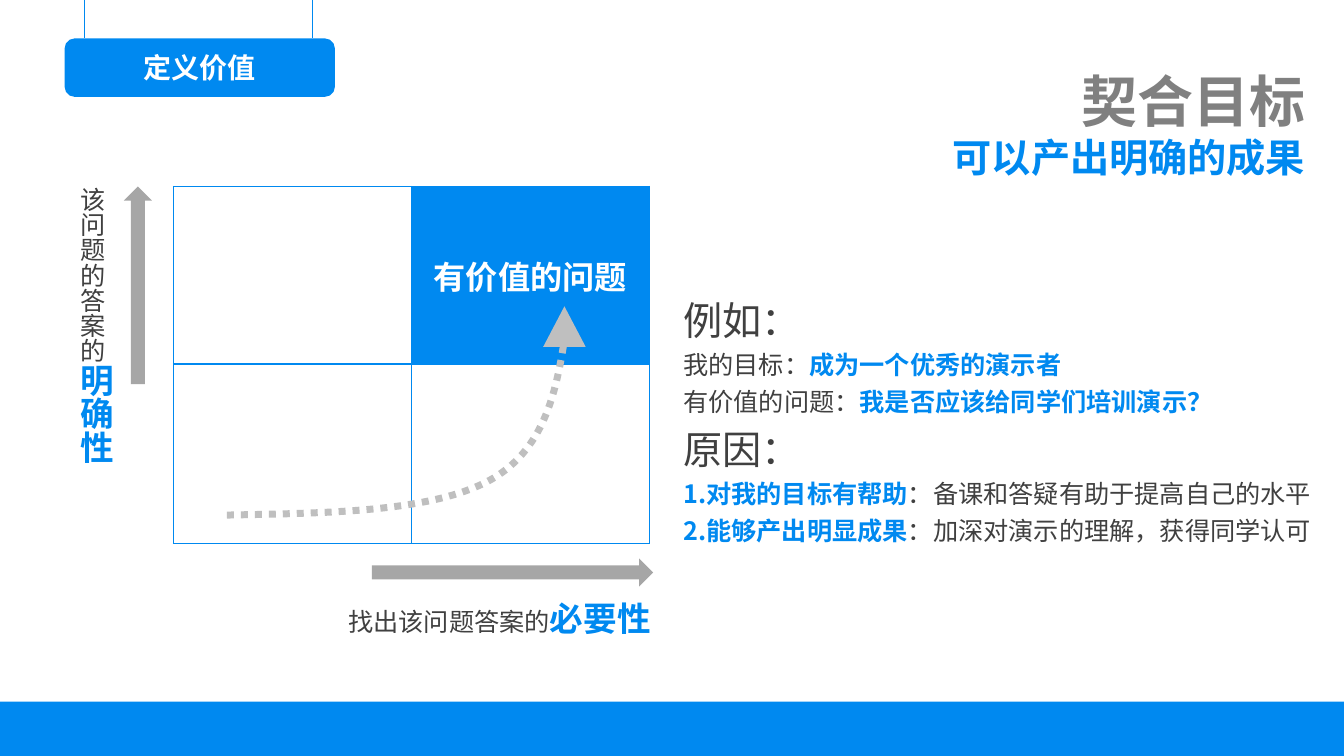
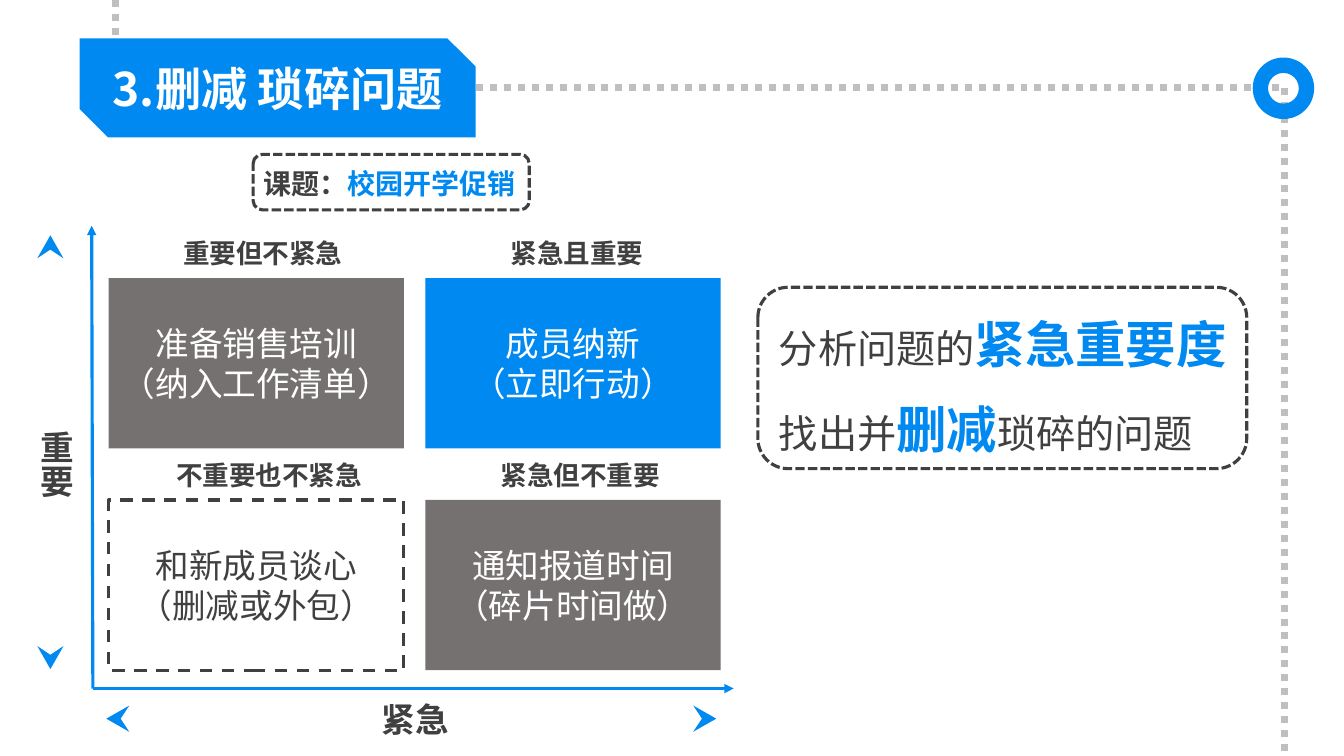
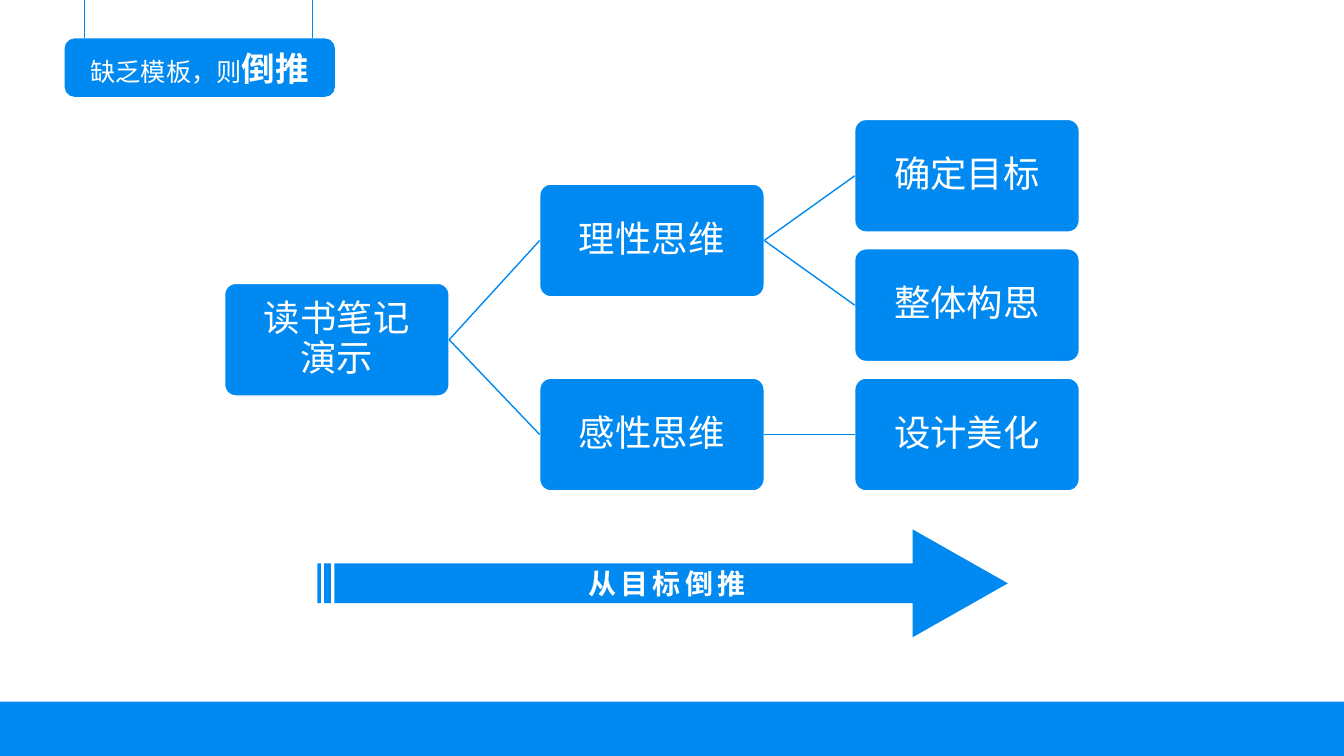
from lxml import etree
from pptx import Presentation
from pptx.dml.color import RGBColor
from pptx.enum.dml import MSO_LINE as Dash
from pptx.enum.shapes import MSO_CONNECTOR as Link, MSO_SHAPE as Shape
from pptx.enum.text import MSO_ANCHOR as Anchor, MSO_AUTO_SIZE as AutoSize, PP_ALIGN as Align
from pptx.oxml.ns import qn
from pptx.util import Cm, Pt

COLORS = {
    "blue": "0089F0",
    "white": "FFFFFF",
    "ink": "404040",
    "title": "808080",
    "card": "767171",
    "arrow": "A6A6A6",
    "dots": "BFBFBF",
}
FONT = "Noto Sans CJK SC"
WIDTH, HEIGHT = 33.87, 19.05


def rgb(color):
    return RGBColor.from_string(COLORS[color])


def run(text, size, color="ink", bold=False, spacing=None):
    return text, size, color, bold, spacing


def write(frame, paragraphs, align=Align.LEFT, line_spacing=None):
    frame.word_wrap = True
    for index, runs in enumerate(paragraphs):
        paragraph = frame.add_paragraph() if index else frame.paragraphs[0]
        paragraph.alignment = align
        if line_spacing:
            paragraph.line_spacing = line_spacing
        for text, size, color, bold, spacing in runs:
            piece = paragraph.add_run()
            piece.text = text
            piece.font.size = Pt(size)
            piece.font.bold = bold
            piece.font.color.rgb = rgb(color)
            piece.font.name = FONT
            properties = piece.font._element
            etree.SubElement(properties, qn("a:ea")).set("typeface", FONT)
            if spacing:
                properties.set("spc", str(spacing * 100))


def add_text(slide, box, paragraphs, align=Align.LEFT, line_spacing=None, vertical=False):
    frame = slide.shapes.add_textbox(*map(Cm, box)).text_frame
    write(frame, paragraphs, align, line_spacing)
    frame.auto_size = AutoSize.SHAPE_TO_FIT_TEXT
    if vertical:
        frame._txBody.bodyPr.set("vert", "eaVert")


def paint(shape, fill=None, line=None, weight=1, dash=None):
    shape.shadow.inherit = False
    if fill:
        shape.fill.solid()
        shape.fill.fore_color.rgb = rgb(fill)
    else:
        shape.fill.background()
    if line:
        draw_line(shape.line, line, weight, dash)
    else:
        shape.line.fill.background()


def draw_line(line, color, weight, dash=None):
    line.color.rgb = rgb(color)
    line.width = Pt(weight)
    if dash:
        line.dash_style = dash


def add_block(slide, kind, box, fill=None, line=None, weight=1, dash=None, adjust=(), paragraphs=()):
    block = slide.shapes.add_shape(kind, *map(Cm, box))
    paint(block, fill, line, weight, dash)
    for index, value in enumerate(adjust):
        block.adjustments[index] = value
    if paragraphs:
        block.text_frame.vertical_anchor = Anchor.MIDDLE
        write(block.text_frame, paragraphs, Align.CENTER)
    return block


def add_line(slide, start, end, color="blue", weight=1, dash=None, arrow=False):
    link = slide.shapes.add_connector(Link.STRAIGHT, *map(Cm, start + end))
    draw_line(link.line, color, weight, dash)
    if arrow:
        etree.SubElement(link.line._get_or_add_ln(), qn("a:tailEnd")).set("type", "triangle")
    etree.SubElement(link._element.spPr, qn("a:effectLst"))
    return link


def add_outline(slide, points, close):
    corners = [(Cm(x), Cm(y)) for x, y in points]
    builder = slide.shapes.build_freeform(*corners[0])
    builder.add_line_segments(corners[1:], close=close)
    return builder.convert_to_shape()


def add_curve(slide, points):
    curve = add_outline(slide, points, close=False)
    paint(curve, line="dots", weight=5, dash=Dash.ROUND_DOT)
    route = curve._element.find(".//" + qn("a:path"))
    steps = route.findall(qn("a:lnTo"))
    for first in range(0, len(steps), 3):
        bezier = etree.SubElement(route, qn("a:cubicBezTo"))
        for step in steps[first:first + 3]:
            bezier.append(step[0])
            route.remove(step)


def add_pointer(slide, x, y, rotation):
    offsets = [(0, -0.29), (0.33, 0.29), (0, 0.07), (-0.33, 0.29)]
    pointer = add_outline(slide, [(x + dx, y + dy) for dx, dy in offsets], close=True)
    paint(pointer, "blue")
    pointer.rotation = rotation


def add_tag(slide, runs):
    add_block(slide, Shape.ROUNDED_RECTANGLE, (1.63, 0.97, 6.81, 1.47), "blue", paragraphs=[runs])
    for x in (2.13, 7.87):
        add_line(slide, (x, 0), (x, 0.97), weight=0.5)


def add_band(slide):
    add_block(slide, Shape.RECTANGLE, (0, 17.68, WIDTH, 1.37), "blue")


def add_border(cell):
    properties = cell._tc.get_or_add_tcPr()
    for index, side in enumerate(("a:lnL", "a:lnR", "a:lnT", "a:lnB")):
        edge = etree.Element(qn(side), w=str(Pt(1)))
        fill = etree.SubElement(edge, qn("a:solidFill"))
        etree.SubElement(fill, qn("a:srgbClr")).set("val", COLORS["blue"])
        properties.insert(index, edge)


def add_matrix(slide):
    matrix = slide.shapes.add_table(2, 2, *map(Cm, (4.37, 4.7, 12, 8.99))).table
    matrix.first_row = matrix.horz_banding = False
    for row, height in zip(matrix.rows, (4.47, 4.52)):
        row.height = Cm(height)
    for cell in matrix.iter_cells():
        cell.fill.background()
        add_border(cell)
    valuable = matrix.cell(0, 1)
    valuable.fill.solid()
    valuable.fill.fore_color.rgb = rgb("blue")
    valuable.vertical_anchor = Anchor.MIDDLE
    write(valuable.text_frame, [[run("有价值的问题", 23, "white", True)]], Align.CENTER)


def build_value_slide(slide):
    add_tag(slide, [run("定义价值", 20, "white", True)])
    add_matrix(slide)
    add_block(slide, Shape.RIGHT_ARROW, (9.37, 14.07, 7.09, 0.71), "arrow")
    add_block(slide, Shape.UP_ARROW, (3.12, 4.7, 0.71, 4.98), "arrow")
    add_text(slide, (8.53, 14.94, 8.76, 1.27),
             [[run("找出该问题答案的", 18), run("必要性", 24, "blue", True)]])
    add_text(slide, (1.5, 4.47, 1.55, 9.45),
             [[run("该问题的答案的", 18), run("明确性", 24, "blue", True)]], vertical=True)
    add_curve(slide, [(5.72, 12.98), (8.33, 12.93), (10.95, 12.9), (12.4, 12.07),
                      (13.82, 11.25), (14.07, 9.65), (14.3, 8.05)])
    add_block(slide, Shape.ISOSCELES_TRIANGLE, (13.69, 7.72, 1.07, 1.02), "dots")
    add_text(slide, (16.1, 1.55, 17.04, 3.18),
             [[run("契合目标", 40, "title", True)],
              [run("可以产出明确的成果", 28, "blue", True)]], Align.RIGHT)
    add_band(slide)
    add_text(slide, (16.97, 7.11, 16.8, 6.83), [
        [run("例如：", 28)],
        [run("我的目标：", 18), run("成为一个优秀的演示者", 18, "blue", True)],
        [run("有价值的问题：", 18), run("我是否应该给同学们培训演示？", 18, "blue", True)],
        [run("原因：", 28)],
        [run("1.对我的目标有帮助", 18, "blue", True), run("：备课和答疑有助于提高自己的水平", 18)],
        [run("2.能够产出明显成果", 18, "blue", True), run("：加深对演示的理解，获得同学认可", 18)],
    ], line_spacing=1.2)


def add_cards(slide):
    cards = [
        (0, 0, "card", "准备销售培训", "（纳入工作清单）", "重要但不紧急", 4.37),
        (1, 0, "blue", "成员纳新", "（立即行动）", "紧急且重要", 12.62),
        (0, 1, None, "和新成员谈心", "（删减或外包）", "不重要也不紧急", 4.19),
        (1, 1, "card", "通知报道时间", "（碎片时间做）", "紧急但不重要", 12.37),
    ]
    for column, row, fill, task, action, caption, caption_left in cards:
        ink = "white" if fill else "ink"
        add_block(slide, Shape.RECTANGLE, (2.74 + 7.98 * column, 7.01 + 5.59 * row, 7.44, 4.29),
                  fill, None if fill else "ink", 2.25, Dash.DASH,
                  paragraphs=[[run(task, 24, ink)], [run(action, 24, ink)]])
        add_text(slide, (caption_left, 5.84 + 5.59 * row, 5.41, 1.07),
                 [[run(caption, 19, bold=True)]])


def build_trim_slide(slide):
    ring = (32.36, 2.21)
    for start, end in [((11.99, 2.21), ring), (ring, (32.36, HEIGHT)), ((2.92, 0), (2.92, 1.93))]:
        add_line(slide, start, end, "dots", 5, Dash.ROUND_DOT)
    add_block(slide, Shape.DONUT, (31.57, 1.45, 1.55, 1.55), "blue")
    add_block(slide, Shape.SNIP_2_DIAG_RECTANGLE, (2.01, 0.97, 9.98, 2.49), "blue",
              adjust=(0, 0.286), paragraphs=[[run("3.删减 琐碎问题", 33, "white", True)]])
    add_text(slide, (19.38, 7.16, 13.56, 4.57), [
        [run("分析问题的", 28), run("紧急重要度", 36, "blue", True)],
        [run("找出并", 28), run("删减", 36, "blue", True), run("琐碎的问题", 28)],
    ], line_spacing=1.4)
    for axis_end in ((18.49, 17.35), (2.31, 5.69)):
        add_line(slide, (2.34, 17.35), axis_end, weight=2.25, arrow=True)
    for x, y, rotation in [(1.27, 6.22, 0), (1.27, 16.57, 180), (2.97, 18.11, 270), (17.76, 18.11, 90)]:
        add_pointer(slide, x, y, rotation)
    add_text(slide, (9.37, 17.48, 2.26, 1.27), [[run("紧急", 24, bold=True)]])
    add_text(slide, (0.51, 10.62, 1.55, 2.51), [[run("重要", 24, bold=True)]], vertical=True)
    add_cards(slide)
    add_text(slide, (6.38, 4.06, 10.44, 1.12),
             [[run("课题：", 20, bold=True), run("校园开学促销", 20, "blue", True)]])
    for box in ((6.38, 3.89, 6.96, 1.4), (19.1, 7.24, 12.32, 4.57)):
        add_block(slide, Shape.ROUNDED_RECTANGLE, box, line="ink", weight=2.25, dash=Dash.SQUARE_DOT)


def add_node(slide, level, top, text, parent=None):
    node = add_block(slide, Shape.ROUNDED_RECTANGLE, (5.66 + 7.94 * level, top, 5.66, 2.84),
                     "blue", "white", adjust=(0.1,),
                     paragraphs=[[run(words, 26, "white")] for words in text.splitlines()])
    frame = node.text_frame
    frame.margin_left = frame.margin_right = frame.margin_top = frame.margin_bottom = Cm(0.13)
    for paragraph in frame.paragraphs:
        paragraph.line_spacing = 0.9
    if parent:
        branch = add_line(slide, (0, 0), (1, 1))
        branch.begin_connect(parent, 3)
        branch.end_connect(node, 1)
    return node


def build_backward_slide(slide):
    add_tag(slide, [run("缺乏模板，则", 18, "white"), run("倒推", 24, "white", True)])
    notes = add_node(slide, 0, 7.14, "读书笔记\n演示")
    rational = add_node(slide, 1, 4.64, "理性思维", notes)
    emotional = add_node(slide, 1, 9.53, "感性思维", notes)
    for row, (text, parent) in enumerate([("确定目标", rational), ("整体构思", rational), ("设计美化", emotional)]):
        add_node(slide, 2, 3.01 + 3.26 * row, text, parent)
    add_block(slide, Shape.STRIPED_RIGHT_ARROW, (8, 13.34, 17.4, 2.72), "blue", adjust=(0.369, 0.883))
    add_text(slide, (14.58, 14.15, 4.98, 1.12), [[run("从目标倒推", 20, "white", True, 3)]])
    add_band(slide)


def main():
    deck = Presentation()
    deck.slide_width, deck.slide_height = Cm(WIDTH), Cm(HEIGHT)
    for build in (build_value_slide, build_trim_slide, build_backward_slide):
        build(deck.slides.add_slide(deck.slide_layouts[6]))
    deck.save("out.pptx")


if __name__ == "__main__":
    main()
